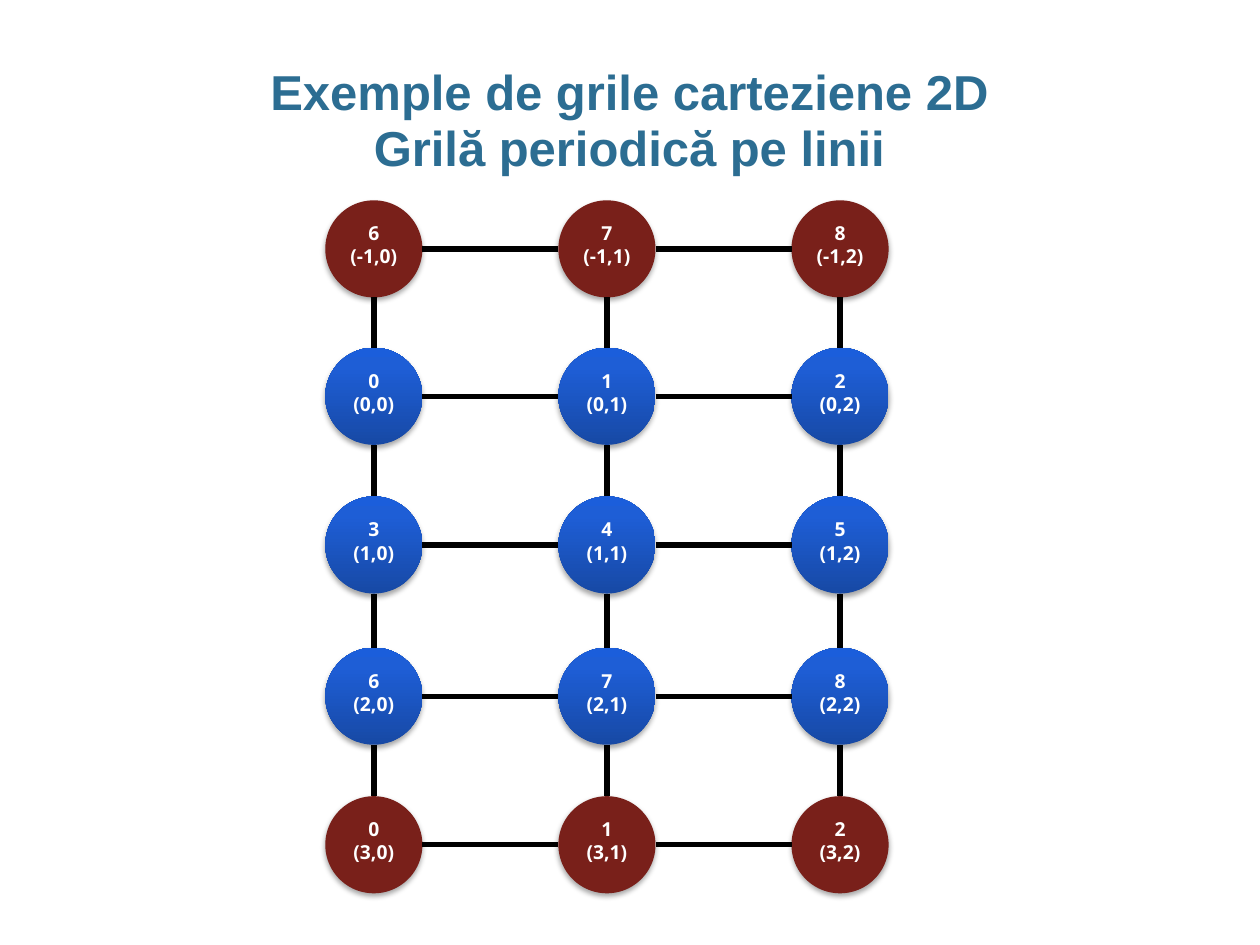
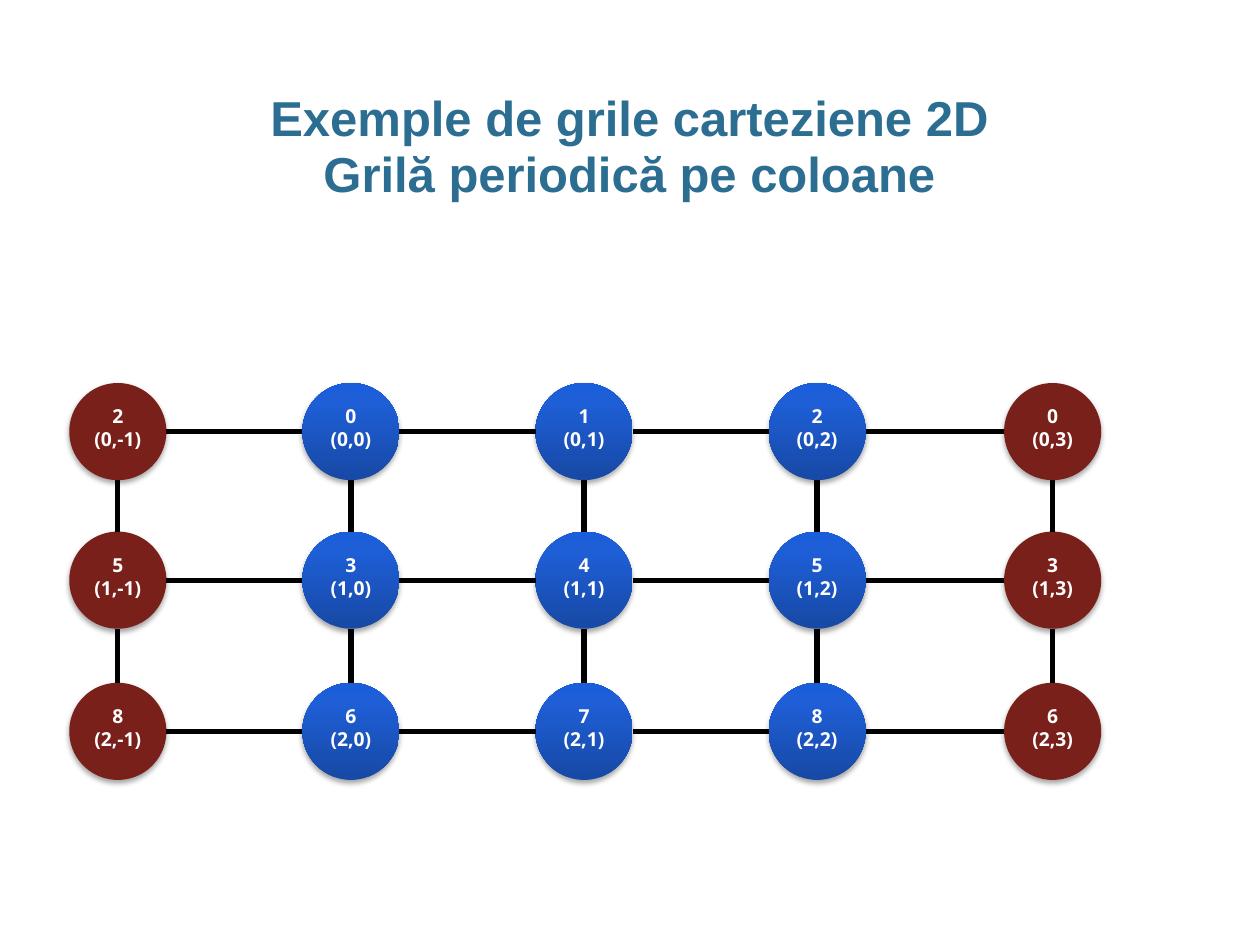
"""Builds two slides showing 2D Cartesian process grids that are periodic by rows or by columns."""
from copy import deepcopy
from dataclasses import dataclass

from lxml import etree
from pptx import Presentation
from pptx.dml.color import RGBColor
from pptx.enum.shapes import MSO_CONNECTOR, MSO_SHAPE
from pptx.enum.text import MSO_ANCHOR, MSO_AUTO_SIZE, PP_ALIGN
from pptx.oxml import parse_xml
from pptx.oxml.ns import nsdecls, qn
from pptx.util import Pt

GRID_SIZE = 3
GRIDS = [
    {
        "title": "Exemple de grile carteziene 2D\vGrilă periodică pe linii",
        "title_top": 33.8,
        "first_row": -1,
        "first_column": 0,
        "lefts": (185.9, 319.1, 452.3),
        "tops": (114.5, 198.7, 283.7, 370.1, 455),
    },
    {
        "title": "Exemple de grile carteziene 2D\vGrilă periodică pe coloane",
        "title_top": 49,
        "first_row": 0,
        "first_column": -1,
        "lefts": (39.6, 172.8, 306, 439.2, 573.8),
        "tops": (218.9, 303.8, 390.2),
    },
]

STRAIGHT = MSO_CONNECTOR.STRAIGHT
OVAL = MSO_SHAPE.OVAL
CENTER = PP_ALIGN.CENTER
TOP = MSO_ANCHOR.TOP
FIXED = MSO_AUTO_SIZE.NONE
TITLE_ONLY = 5


@dataclass(frozen=True)
class Theme:
    """Colours, type and measures shared by both slides."""
    title_font: str = "Arial"
    title_size: float = 28
    title_color: str = "2C6D92"
    label_font: str = "Open Sans"
    label_size: float = 11
    label_color: str = "FFFFFF"
    ghost_color: str = "79201A"
    edge_color: str = "000000"
    edge_width: float = 3
    gradient: tuple = ((0, "1749A5"), (0.8, "1E5ED6"), (1, "1B5EDB"))
    diameter: float = 55.5
    label_width: float = 42
    label_height: float = 33.8
    label_drop: float = 8.6


THEME = Theme()


def set_values(target, values):
    """Set each attribute of the target from a dict."""
    for name, value in values.items():
        setattr(target, name, value)


def style_font(font, name, size, color):
    """Apply a bold type style to a font."""
    set_values(font, {"name": name, "size": Pt(size), "bold": True})
    font.color.rgb = RGBColor.from_string(color)


def add_title(page, text, top):
    """Fill and place the two-line title."""
    title = page.shapes.title
    set_values(title, {"left": Pt(24.5), "top": Pt(top), "width": Pt(670.3), "height": Pt(36)})
    frame = title.text_frame
    set_values(frame, {"text": text, "auto_size": FIXED, "vertical_anchor": TOP, "word_wrap": True,
                       "margin_left": 0, "margin_right": 0})
    para = frame.paragraphs[0]
    set_values(para, {"alignment": CENTER, "line_spacing": 0.95, "space_before": Pt(0)})
    for span in para.runs:
        style_font(span.font, THEME.title_font, THEME.title_size, THEME.title_color)


def fill_gradient(circle):
    """Shade the circle from dark at the bottom to bright at the top."""
    fill = circle.fill
    fill.gradient()
    fill.gradient_angle = 90
    holder = circle.element.spPr.find(qn("a:gradFill")).find(qn("a:gsLst"))
    while len(holder) < len(THEME.gradient):
        holder.append(deepcopy(holder[0]))
    for stop, (position, color) in zip(fill.gradient_stops, THEME.gradient):
        stop.position = position
        stop.color.rgb = RGBColor.from_string(color)


def add_shadow(circle):
    """Give the circle a soft shadow below it."""
    circle.shadow.inherit = False
    effects = circle.element.spPr.find(qn("a:effectLst"))
    effects.append(parse_xml(
        f'<a:outerShdw {nsdecls("a")} blurRad="{Pt(3.1)}" dist="{Pt(1.8)}" dir="5400000" '
        'rotWithShape="0"><a:srgbClr val="000000"><a:alpha val="35000"/></a:srgbClr></a:outerShdw>'))


def add_node(page, row, column, left, top):
    """Draw one process: its circle, its rank and its coordinates."""
    inside = row in range(GRID_SIZE) and column in range(GRID_SIZE)
    rank = row % GRID_SIZE * GRID_SIZE + column % GRID_SIZE
    group = page.shapes.add_group_shape()
    circle = group.shapes.add_shape(OVAL, Pt(left), Pt(top), Pt(THEME.diameter), Pt(THEME.diameter))
    if inside:
        fill_gradient(circle)
    else:
        circle.fill.solid()
        circle.fill.fore_color.rgb = RGBColor.from_string(THEME.ghost_color)
    circle.line.fill.background()
    add_shadow(circle)

    width = THEME.diameter if min(row, column) < 0 else THEME.label_width
    box = group.shapes.add_textbox(Pt(left + (THEME.diameter - width) / 2), Pt(top + THEME.label_drop),
                                   Pt(width), Pt(THEME.label_height))
    frame = box.text_frame
    set_values(frame, {"text": f"{rank}\n({row},{column})", "word_wrap": True})
    for para in frame.paragraphs:
        para.alignment = CENTER
        for span in para.runs:
            style_font(span.font, THEME.label_font, THEME.label_size, THEME.label_color)


def add_edge(page, start, end):
    """Draw a line between two points."""
    edge = page.shapes.add_connector(STRAIGHT, *map(Pt, start + end))
    edge.line.width = Pt(THEME.edge_width)
    edge.line.color.rgb = RGBColor.from_string(THEME.edge_color)
    etree.SubElement(edge.element.spPr, qn("a:effectLst"))


def add_grid(page, grid):
    """Place the nodes and join each one to its right and lower neighbours."""
    lefts, tops = grid["lefts"], grid["tops"]
    radius = THEME.diameter / 2
    for row, top in enumerate(tops, grid["first_row"]):
        for column, left in enumerate(lefts, grid["first_column"]):
            add_node(page, row, column, left, top)
    for top in tops:
        for left, right in zip(lefts, lefts[1:]):
            add_edge(page, (left + THEME.diameter, top + radius), (right, top + radius))
    for left in lefts:
        for top, below in zip(tops, tops[1:]):
            add_edge(page, (left + radius, top + THEME.diameter), (left + radius, below))


def main():
    """Build and save the deck."""
    deck = Presentation()
    set_values(deck, {"slide_width": Pt(720), "slide_height": Pt(540)})
    for grid in GRIDS:
        page = deck.slides.add_slide(deck.slide_layouts[TITLE_ONLY])
        add_title(page, grid["title"], grid["title_top"])
        add_grid(page, grid)
    deck.save("out.pptx")


if __name__ == "__main__":
    main()
